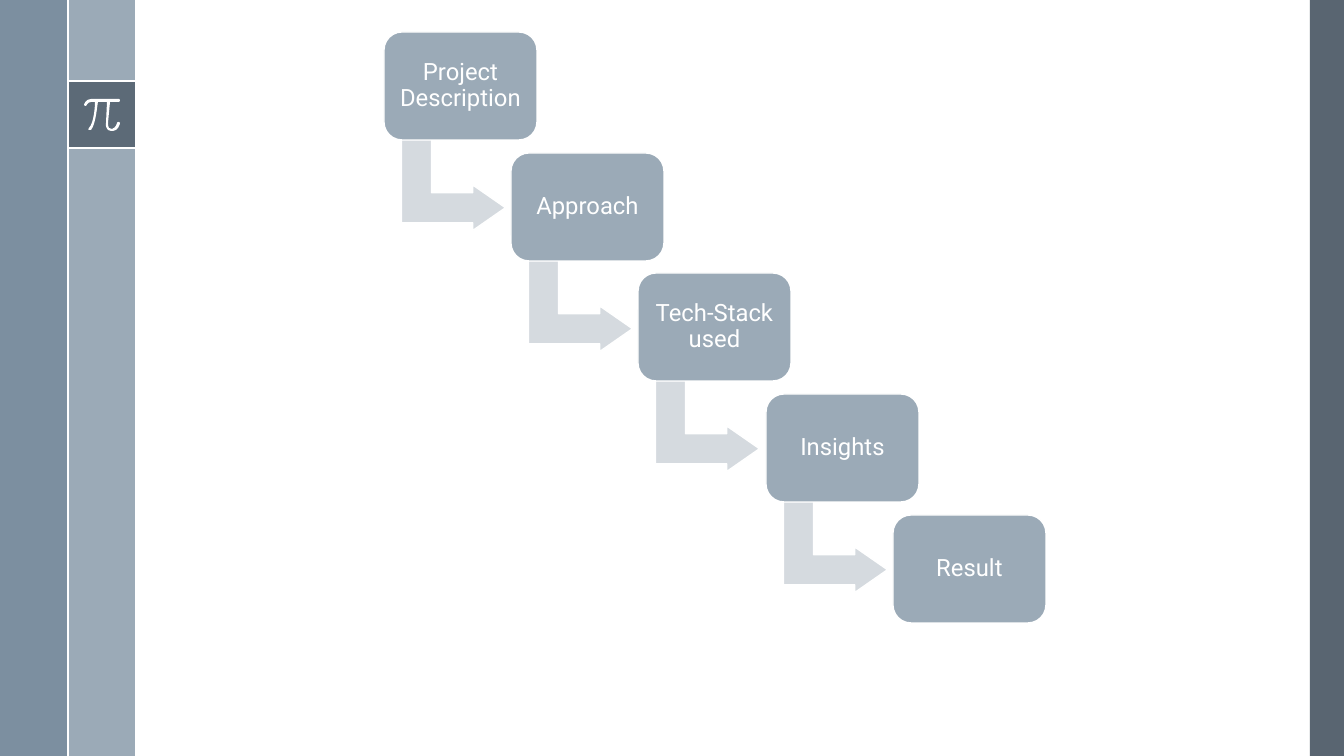
from lxml.etree import SubElement
from pptx import Presentation
from pptx.dml.color import RGBColor
from pptx.enum.shapes import MSO_CONNECTOR, MSO_SHAPE
from pptx.enum.text import MSO_ANCHOR, PP_ALIGN
from pptx.oxml.ns import qn
from pptx.util import Pt

EMU_PER_PX = 914400 / 100.8
SLIDE_WIDTH, SLIDE_HEIGHT = 1344, 756

WHITE = RGBColor(0xFF, 0xFF, 0xFF)
SLATE = RGBColor(0x47, 0x55, 0x62)
STEEL = RGBColor(0x6A, 0x80, 0x93)
MIST = RGBColor(0x9B, 0xAA, 0xB7)
PALE = RGBColor(0xD5, 0xDA, 0xDF)

STEPS = ["Project Description", "Approach", "Tech-Stack used", "Insights", "Result"]
STEP_LEFT, STEP_TOP = 384, 32
STEP_ACROSS, STEP_DOWN = 127.2, 120.7
STEP_WIDTH, STEP_HEIGHT = 153, 108

# One point is a straight segment; three points are a cubic curve.
PI_START = (119, 99)
PI_SEGMENTS = [
    [(91, 99)],
    [(86, 99), (84, 104), (84, 105)],
    [(84, 105), (84, 106), (85, 106)],
    [(86, 106)],
    [(86, 106), (88, 102), (91, 102)],
    [(95, 102)],
    [(95, 106), (94, 123), (89, 128)],
    [(88, 129), (88, 130), (89, 130)],
    [(91, 130)],
    [(96, 124), (97, 106), (98, 102)],
    [(107, 102)],
    [(106, 123)],
    [(106, 123), (105, 127), (108, 130)],
    [(109, 131), (110, 131), (111, 131)],
    [(113, 131)],
    [(118, 131), (120, 124), (120, 123)],
    [(120, 123), (119, 122), (119, 122)],
    [(118, 122), (117, 122), (117, 123)],
    [(117, 123), (116, 128), (112, 129)],
    [(111, 129), (110, 129), (109, 128)],
    [(108, 127), (108, 124), (108, 123)],
    [(110, 102)],
    [(119, 102)],
    [(120, 102), (120, 101), (120, 101)],
    [(120, 100), (120, 99), (119, 99)],
]


def px(length):
    return round(length * EMU_PER_PX)


class SlideBuilder:
    font_name = "Roboto"
    font_size = Pt(17)
    rule_width = Pt(1.5)
    outline_width = Pt(1)

    def __init__(self, slide):
        self.shapes = slide.shapes

    def paint(self, shape, color, opacity=100, outlined=False):
        shape.shadow.inherit = False
        shape.fill.solid()
        shape.fill.fore_color.rgb = color
        if opacity < 100:
            color_element = shape.element.spPr.find(qn("a:solidFill"))[0]
            SubElement(color_element, qn("a:alpha"), val=str(opacity * 1000))
        if outlined:
            shape.line.color.rgb = WHITE
            shape.line.width = self.outline_width
        else:
            shape.line.fill.background()

    def preset(self, kind, left, top, width, height, color, **style):
        shape = self.shapes.add_shape(kind, px(left), px(top), px(width), px(height))
        self.paint(shape, color, **style)
        return shape

    def panel(self, left, top, width, height, color, opacity=100):
        self.preset(MSO_SHAPE.RECTANGLE, left, top, width, height, color, opacity=opacity)

    def rule(self, *ends):
        connector = self.shapes.add_connector(MSO_CONNECTOR.STRAIGHT, *map(px, ends))
        connector.line.color.rgb = WHITE
        connector.line.width = self.rule_width
        SubElement(connector.element.spPr, qn("a:effectLst"))

    def curved_outline(self, start, segments, color):
        """Lay every point as a straight segment, then join each trio into a cubic curve."""
        builder = self.shapes.build_freeform(*start, scale=EMU_PER_PX)
        builder.add_line_segments([point for segment in segments for point in segment])
        shape = builder.convert_to_shape()
        lines = iter(list(shape.element.iter(qn("a:lnTo"))))
        for segment in segments:
            first, *others = [next(lines) for _ in segment]
            if others:
                first.tag = qn("a:cubicBezTo")
                for line in others:
                    first.append(line[0])
                    line.getparent().remove(line)
        SubElement(next(shape.element.iter(qn("a:path"))), qn("a:close"))
        self.paint(shape, color)

    def bent_arrow(self, left, top):
        arrow = self.preset(MSO_SHAPE.BENT_UP_ARROW, left, top, 91, 104, PALE, outlined=True)
        arrow.rotation = 90
        for index, value in enumerate((0.33, 0.25, 0.36)):
            arrow.adjustments[index] = value

    def step(self, left, top, text):
        box = self.preset(MSO_SHAPE.ROUNDED_RECTANGLE, left, top,
                          STEP_WIDTH, STEP_HEIGHT, MIST, outlined=True)
        frame = box.text_frame
        frame.text = text
        frame.word_wrap = True
        frame.vertical_anchor = MSO_ANCHOR.MIDDLE
        frame.margin_left = frame.margin_right = px(7)
        frame.margin_top = frame.margin_bottom = px(7)
        paragraph = frame.paragraphs[0]
        paragraph.alignment = PP_ALIGN.CENTER
        paragraph.line_spacing = 0.9
        font = paragraph.runs[0].font
        font.name = self.font_name
        font.size = self.font_size
        font.color.rgb = WHITE


def main():
    presentation = Presentation()
    presentation.slide_width = px(SLIDE_WIDTH)
    presentation.slide_height = px(SLIDE_HEIGHT)
    blank_layout = presentation.slide_layouts[6]
    builder = SlideBuilder(presentation.slides.add_slide(blank_layout))

    builder.panel(1310, 0, 34, SLIDE_HEIGHT, SLATE, opacity=90)
    builder.panel(68, 0, 67, SLIDE_HEIGHT, MIST)
    builder.panel(0, 0, 68, SLIDE_HEIGHT, STEEL, opacity=88)
    builder.panel(68, 81, 67, 67, SLATE, opacity=75)
    for rule_top in (81, 148):
        builder.rule(68, rule_top, 135, rule_top)
    builder.curved_outline(PI_START, PI_SEGMENTS, WHITE)
    builder.rule(68, 0, 68, SLIDE_HEIGHT)

    for index, text in enumerate(STEPS):
        left = STEP_LEFT + round(index * STEP_ACROSS)
        top = STEP_TOP + round(index * STEP_DOWN)
        if index < len(STEPS) - 1:
            builder.bent_arrow(left + 24, top + 101)
        builder.step(left, top, text)

    presentation.save("out.pptx")


if __name__ == "__main__":
    main()
